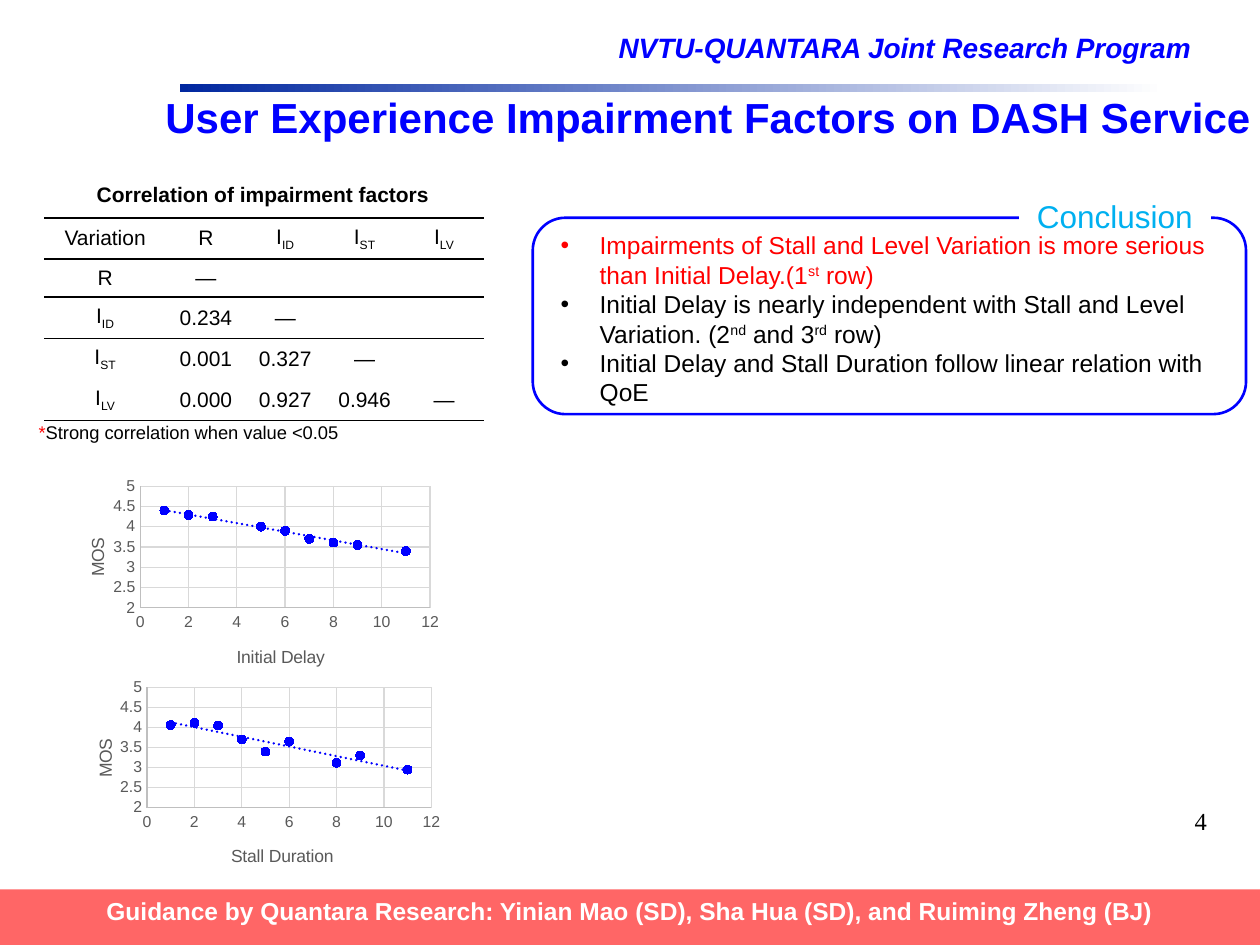
from dataclasses import dataclass
from typing import Any, NamedTuple

from lxml.etree import SubElement
from pptx import Presentation
from pptx.chart.data import XyChartData
from pptx.dml.color import RGBColor as RGB
from pptx.enum.chart import XL_CHART_TYPE as Chart, XL_MARKER_STYLE as Marker, XL_TICK_MARK as Tick
from pptx.enum.shapes import MSO_SHAPE as Shape
from pptx.enum.text import MSO_ANCHOR as Anchor, PP_ALIGN as Align
from pptx.oxml import parse_xml
from pptx.oxml.ns import nsdecls, qn
from pptx.util import Cm, Pt


@dataclass(frozen=True)
class Theme:
    """Colours, fonts and type sizes of the slide."""
    blue: str = "0000FF"
    navy: str = "00279F"
    cyan: str = "00B0F0"
    red: str = "FF0000"
    coral: str = "FF6666"
    black: str = "000000"
    white: str = "FFFFFF"
    gray: str = "595959"
    axis: str = "BFBFBF"
    grid: str = "D9D9D9"
    sans: str = "Arial"
    serif: str = "Times New Roman"
    title: float = 24
    label: float = 18
    header: float = 16
    body: float = 14
    table: float = 12
    note: float = 10.5
    axis_title: float = 10
    tick: float = 9


T = Theme()


class Box(NamedTuple):
    """Left, top, width and height in centimetres."""
    x: float
    y: float
    w: float
    h: float

    def emu(self) -> list[int]:
        return [Cm(v) for v in self]


class Run(NamedTuple):
    """Text with an optional baseline shift in percent and a colour."""
    text: str
    base: int = 0
    color: str = T.black


@dataclass(frozen=True)
class Scatter:
    """One scatter chart of opinion score against an impairment."""
    box: Box
    title: str
    title_x: float
    xs: list[float]
    ys: list[float]


TABLE = [
    ["Variation", "R", "I_ID", "I_ST", "I_LV"],
    ["R", "—", "", "", ""],
    ["I_ID", "0.234", "—", "", ""],
    ["I_ST", "0.001", "0.327", "—", ""],
    ["I_LV", "0.000", "0.927", "0.946", "—"],
]
ROW_HEIGHTS = [0.83, 0.77, 0.83, 0.83, 0.83]
COL_WIDTHS = [2.46] + [1.6] * 4
RULES = {0, 1, 2, 5}

CONCLUSIONS = [
    [Run("Impairments of Stall and Level Variation is more serious than Initial Delay.(1", 0, T.red),
     Run("st", 30, T.red), Run(" row)", 0, T.red)],
    [Run("Initial Delay is nearly independent with Stall and Level Variation. (2"), Run("nd", 30),
     Run(" and 3"), Run("rd", 30), Run(" row)")],
    [Run("Initial Delay and Stall Duration follow linear relation with QoE")],
]

CHARTS = [
    Scatter(Box(1.07, 9.53, 7.95, 4.32), "Initial Delay", 0.457, [1, 2, 3, 5, 6, 7, 8, 9, 11],
            [4.4, 4.29, 4.25, 4, 3.9, 3.7, 3.61, 3.55, 3.4]),
    Scatter(Box(1.24, 13.59, 7.8, 4.27), "Stall Duration", 0.43, [1, 2, 3, 4, 5, 6, 8, 9, 11],
            [4.06, 4.12, 4.05, 3.7, 3.4, 3.65, 3.12, 3.3, 2.95]),
]


def put(obj: Any, **values: Any) -> None:
    """Set each named attribute of an object."""
    for name, value in values.items():
        setattr(obj, name, value)


def style(font: Any, size: float, color: str, name: str = T.sans, **extra: Any) -> None:
    """Set the size, colour and typeface of a font."""
    put(font, **{"size": Pt(size), "name": name, **extra})
    font.color.rgb = RGB.from_string(color)


def write(p: Any, runs: list[Run], size: float, **font: Any) -> None:
    """Fill a paragraph with styled runs."""
    for run in runs:
        r = p.add_run()
        r.text = run.text
        style(r.font, size, run.color, **font)
        if run.base:
            r.font._element.set("baseline", str(run.base * 1000))


def add_text(s: Any, box: Box, runs: list[Run], size: float, align: Align = Align.LEFT, **font: Any) -> None:
    """Add a one-paragraph text box."""
    tf = s.shapes.add_textbox(*box.emu()).text_frame
    tf.word_wrap = True
    tf.paragraphs[0].alignment = align
    write(tf.paragraphs[0], runs, size, **font)


def add_block(s: Any, kind: Shape, box: Box, fill: str, line: str = "", width: float = 1.5) -> Any:
    """Add a flat shape with a solid fill and an optional outline."""
    sp = s.shapes.add_shape(kind, *box.emu())
    sp.shadow.inherit = False
    sp.fill.solid()
    sp.fill.fore_color.rgb = RGB.from_string(fill)
    if line:
        sp.line.color.rgb = RGB.from_string(line)
        sp.line.width = Pt(width)
    else:
        sp.line.fill.background()
    return sp


def add_header(s: Any) -> None:
    """Add the programme name, the fading bar and the slide title."""
    add_text(s, Box(12.22, 0.5, 12.98, 1.57), [Run("NVTU-QUANTARA Joint Research Program", 0, T.blue)],
             T.header, bold=True, italic=True)
    bar = add_block(s, Shape.RECTANGLE, Box(3.63, 1.7, 19.86, 0.15), T.navy)
    bar.fill.gradient()
    bar.fill.gradient_angle = 0
    for stop, color in zip(bar.fill.gradient_stops, (T.navy, T.white)):
        stop.color.rgb = RGB.from_string(color)
    title = s.shapes.title
    put(title, **dict(zip(("left", "top", "width", "height"), Box(3.05, 1.93, 22.45, 1.02).emu())))
    tf = title.text_frame
    put(tf, word_wrap=False, vertical_anchor=Anchor.MIDDLE, margin_left=Cm(0.18), margin_right=Cm(0.18),
        margin_top=Cm(0.08), margin_bottom=Cm(0.08))
    put(tf.paragraphs[0], alignment=Align.CENTER, line_spacing=0.85)
    write(tf.paragraphs[0], [Run("User Experience Impairment Factors on DASH Service", 0, T.blue)],
          T.title, bold=True)


def add_conclusion(s: Any) -> None:
    """Add the rounded frame, its label and the bullet list."""
    add_block(s, Shape.ROUNDED_RECTANGLE, Box(10.74, 4.39, 14.38, 3.96), T.white, T.blue)
    tf = add_block(s, Shape.RECTANGLE, Box(20.57, 3.94, 3.81, 0.84), T.white, T.white, 2).text_frame
    tf.vertical_anchor = Anchor.MIDDLE
    tf.paragraphs[0].alignment = Align.CENTER
    write(tf.paragraphs[0], [Run("Conclusion", 0, T.cyan)], T.label)
    tf = s.shapes.add_textbox(*Box(11.05, 4.52, 13.87, 3.84).emu()).text_frame
    tf.word_wrap = True
    for i, runs in enumerate(CONCLUSIONS):
        p = tf.add_paragraph() if i else tf.paragraphs[0]
        write(p, runs, T.body)
        pPr = p._p.get_or_add_pPr()
        pPr.set("marL", str(Cm(0.79)))
        pPr.set("indent", str(-Cm(0.79)))
        SubElement(pPr, qn("a:buFont"), typeface=T.sans)
        SubElement(pPr, qn("a:buChar"), char="•")


def add_correlations(s: Any) -> None:
    """Add the ruled correlation table."""
    box = Box(0.89, 4.39, sum(COL_WIDTHS), sum(ROW_HEIGHTS))
    tbl = s.shapes.add_table(len(TABLE), len(COL_WIDTHS), *box.emu()).table
    put(tbl, first_row=False, horz_banding=False)
    tbl._tbl.tblPr.find(qn("a:tableStyleId")).text = "{2D5ABB26-0587-4C30-8999-92F81FD0307C}"
    for col, width in zip(tbl.columns, COL_WIDTHS):
        col.width = Cm(width)
    for i, (row, height) in enumerate(zip(tbl.rows, ROW_HEIGHTS)):
        row.height = Cm(height)
        for cell, text in zip(row.cells, TABLE[i]):
            put(cell, vertical_anchor=Anchor.MIDDLE, margin_top=Cm(0.05), margin_bottom=Cm(0.05))
            p = cell.text_frame.paragraphs[0]
            p.alignment = Align.CENTER
            main, _, sub = text.partition("_")
            write(p, [run for run in (Run(main), Run(sub, -25)) if run.text], T.table)
            SubElement(p._p, qn("a:endParaRPr"), sz=str(T.table * 100))
            cell.fill.background()
            sides = [side for side, rule in (("T", i), ("B", i + 1)) if rule in RULES]
            for n, side in enumerate(sides):
                cell._tc.tcPr.insert(n, parse_xml(
                    f'<a:ln{side} {nsdecls("a")} w="12700"><a:solidFill><a:srgbClr val="{T.black}"/>'
                    f'</a:solidFill></a:ln{side}>'))


def place(x: float, y: float, w: float = 0, h: float = 0) -> Any:
    """Return a manual chart layout in fractions of the chart."""
    values = {"xMode": "edge", "yMode": "edge", "x": x, "y": y}
    if w:
        values = {"layoutTarget": "inner", **values, "w": w, "h": h}
    parts = "".join(f'<c:{k} val="{v}"/>' for k, v in values.items())
    return parse_xml(f'<c:layout {nsdecls("c")}><c:manualLayout>{parts}</c:manualLayout></c:layout>')


def format_axis(axis: Any, title: str, at: tuple[float, float], low: float, high: float, unit: float) -> None:
    """Format the scale, lines and title of an axis."""
    put(axis, minimum_scale=low, maximum_scale=high, major_unit=unit, has_major_gridlines=True,
        major_tick_mark=Tick.NONE, minor_tick_mark=Tick.NONE)
    style(axis.tick_labels.font, T.tick, T.gray)
    for line, color in ((axis.format.line, T.axis), (axis.major_gridlines.format.line, T.grid)):
        line.color.rgb = RGB.from_string(color)
        line.width = Pt(0.75)
    heading = axis.axis_title
    write(heading.text_frame.paragraphs[0], [Run(title, 0, T.gray)], T.axis_title, bold=False)
    for old in heading._element.findall(qn("c:layout")):
        heading._element.remove(old)
    heading._element.find(qn("c:tx")).addnext(place(*at))


def add_scatter(s: Any, spec: Scatter) -> None:
    """Add a scatter chart with a dotted linear trend."""
    data = XyChartData()
    points = data.add_series("Series 1")
    for x, y in zip(spec.xs, spec.ys):
        points.add_data_point(x, y)
    chart = s.shapes.add_chart(Chart.XY_SCATTER, *spec.box.emu(), data).chart
    put(chart, has_legend=False, has_title=False)
    style(chart.font, T.axis_title, T.black)
    format_axis(chart.category_axis, spec.title, (spec.title_x, 0.79), 0, 12, 2)
    format_axis(chart.value_axis, "MOS", (0.076, 0.29), 2, 5, 0.5)
    body = chart.value_axis.axis_title.text_frame._txBody.bodyPr
    body.set("rot", "-5400000")
    body.set("vert", "horz")
    area = chart._chartSpace.chart.plotArea
    for old in area.findall(qn("c:layout")):
        area.remove(old)
    area.insert(0, place(0.221, 0.063, 0.735, 0.568))
    chart.plots[0].vary_by_categories = False
    series = chart.plots[0].series[0]
    series.format.line.fill.background()
    put(series.marker, style=Marker.CIRCLE, size=5)
    series.marker.format.fill.solid()
    series.marker.format.fill.fore_color.rgb = RGB.from_string(T.blue)
    series.marker.format.line.color.rgb = RGB.from_string(T.blue)
    series._element.find(qn("c:xVal")).addprevious(parse_xml(
        f'<c:trendline {nsdecls("c", "a")}><c:spPr><a:ln w="19050" cap="rnd"><a:solidFill>'
        f'<a:srgbClr val="{T.blue}"/></a:solidFill><a:prstDash val="sysDot"/></a:ln></c:spPr>'
        '<c:trendlineType val="linear"/><c:dispRSqr val="0"/><c:dispEq val="0"/></c:trendline>'))


def add_footer(s: Any) -> None:
    """Add the slide number and the guidance banner."""
    add_text(s, Box(19.3, 16.13, 5.28, 1.27), [Run("4")], T.body, Align.RIGHT, name=T.serif)
    tf = add_block(s, Shape.RECTANGLE, Box(0, 17.93, 25.4, 1.12), T.coral).text_frame
    tf.vertical_anchor = Anchor.TOP
    tf.paragraphs[0].alignment = Align.CENTER
    write(tf.paragraphs[0], [Run("Guidance by Quantara Research: Yinian Mao (SD), Sha Hua (SD), "
                                 "and Ruiming Zheng (BJ)", 0, T.white)], T.body, bold=True)


def main() -> None:
    """Build and save the slide."""
    prs = Presentation()
    put(prs, slide_width=Cm(25.4), slide_height=Cm(19.05))
    s = prs.slides.add_slide(prs.slide_layouts[5])
    add_header(s)
    add_conclusion(s)
    add_correlations(s)
    add_text(s, Box(1.7, 3.53, 7.34, 0.76), [Run("Correlation of impairment factors")], T.table, bold=True)
    for spec in CHARTS:
        add_scatter(s, spec)
    add_text(s, Box(0.53, 8.36, 7.19, 0.71),
             [Run("*", 0, T.red), Run("Strong correlation when value <0.05")], T.note)
    add_footer(s)
    prs.save("out.pptx")


if __name__ == "__main__":
    main()
